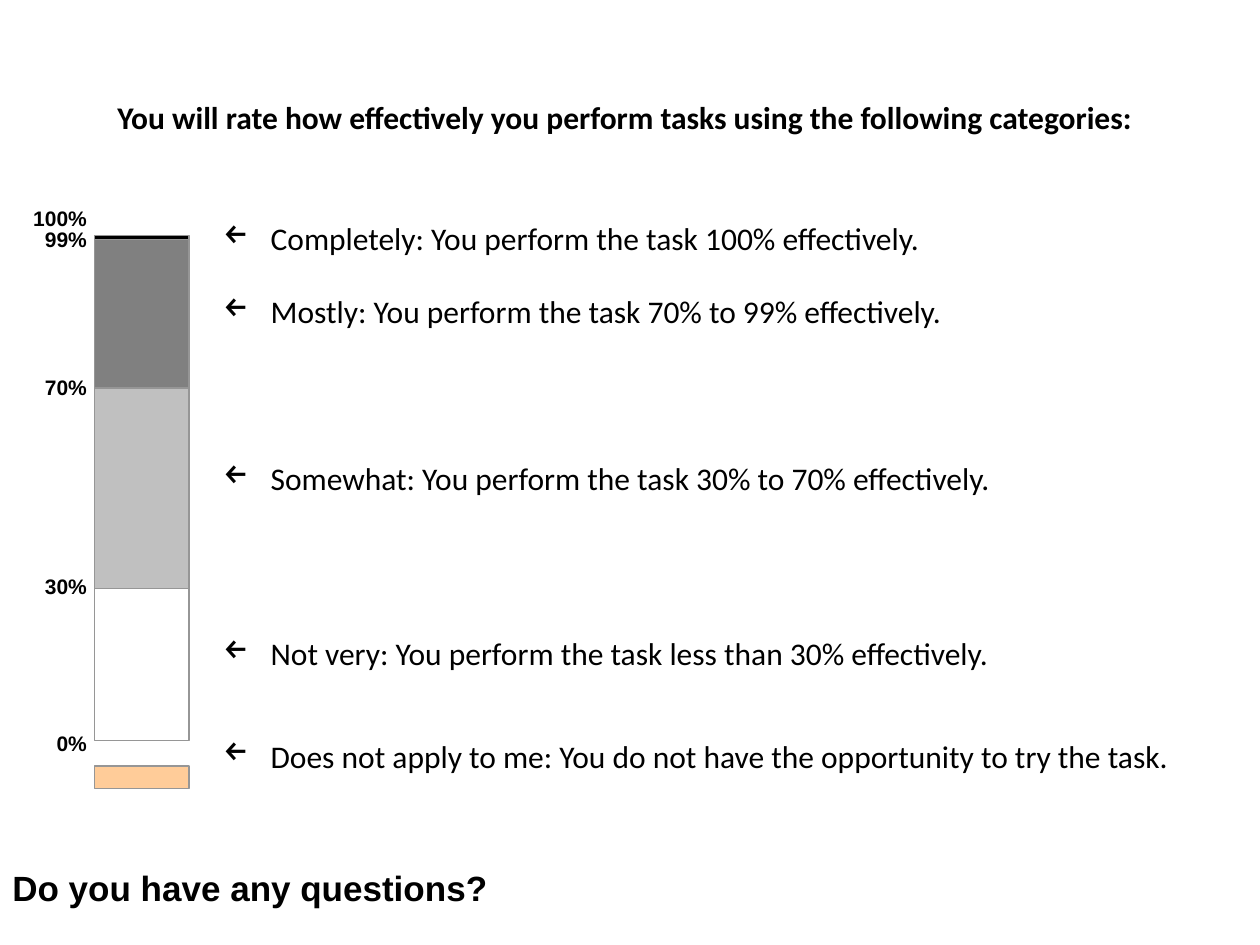
import pptx
import pptx.util
import pptx.dml.color
import pptx.enum.shapes
import pptx.enum.text
import lxml.etree

Inches, Pt = pptx.util.Inches, pptx.util.Pt
ALIGN, ANCHOR = pptx.enum.text.PP_ALIGN, pptx.enum.text.MSO_ANCHOR

COLOURS = {
    "ink": "000000", "outline": "969696", "complete": "000000", "most": "808080",
    "some": "C0C0C0", "little": "FFFFFF", "not_applicable": "FFCC99",
}
HEADING = "You will rate how effectively you perform tasks using the following categories:"
QUESTION = "Do you have any questions?"
CATEGORIES = [
    ("Completely: You perform the task 100% effectively.", 0),
    ("Mostly: You perform the task 70% to 99% effectively.", 20.3),
    ("Somewhat: You perform the task 30% to 70% effectively.", 73.4),
    ("Not very: You perform the task less than 30% effectively.", 78.6),
    ("Does not apply to me: You do not have the opportunity to try the task.", 37),
]
SEGMENTS = [
    ("complete", 1.87, 0.05), ("most", 1.9, 1.18), ("some", 3.08, 1.62),
    ("little", 4.67, 1.21), ("not_applicable", 6.08, 0.18),
]
TICKS = [("100%", 1.58), ("99%", 1.75), ("70%", 2.92), ("30%", 4.5), ("0%", 5.75)]
BAR_LEFT = BAR_WIDTH = 0.75
TICK_LEFT, TICK_WIDTH, TICK_HEIGHT = 0.25, 0.75, 0.3
INDENT = Inches(0.38)


def colour(name):
    return pptx.dml.color.RGBColor.from_string(COLOURS[name])


def add_text(slide, box, lines, size, font, bold=False, align=ALIGN.LEFT):
    frame = slide.shapes.add_textbox(*map(Inches, box)).text_frame
    frame.word_wrap = True
    for index, line in enumerate(lines):
        paragraph = frame.paragraphs[0] if index == 0 else frame.add_paragraph()
        paragraph.text = line
        paragraph.alignment = align
        paragraph.font.size = Pt(size)
        paragraph.font.name = font
        paragraph.font.bold = bold
        paragraph.font.color.rgb = colour("ink")
    return frame


def add_arrow_bullet(paragraph):
    properties = paragraph._p.get_or_add_pPr()
    properties.set("marL", str(INDENT))
    properties.set("indent", str(-INDENT))
    bullet = lxml.etree.Element(pptx.oxml.ns.qn("a:buChar"), char="←")
    properties.insert_element_before(bullet, "a:tabLst", "a:defRPr", "a:extLst")


def main():
    deck = pptx.Presentation()
    deck.slide_width, deck.slide_height = Inches(10), Inches(7.5)
    slide = deck.slides.add_slide(deck.slide_layouts[6])

    heading = add_text(slide, (0, 0.3, 9.92, 1.25), [HEADING], 18, "Calibri", True, ALIGN.CENTER)
    heading.vertical_anchor = ANCHOR.MIDDLE

    categories = add_text(slide, (1.67, 1.69, 8.33, 4.89),
                          [wording for wording, _ in CATEGORIES], 18, "Calibri")
    for paragraph, (_, gap) in zip(categories.paragraphs, CATEGORIES):
        paragraph.space_before = Pt(gap)
        add_arrow_bullet(paragraph)

    for name, top, height in SEGMENTS:
        segment = slide.shapes.add_shape(
            pptx.enum.shapes.MSO_SHAPE.RECTANGLE,
            *map(Inches, (BAR_LEFT, top, BAR_WIDTH, height)))
        segment.shadow.inherit = False
        segment.fill.solid()
        segment.fill.fore_color.rgb = colour(name)
        segment.line.color.rgb = colour("outline")
        segment.line.width = Pt(0.75)

    add_text(slide, (0, 6.83, 9, 0.44), [QUESTION], 20, "Arial", True)

    for percent, top in TICKS:
        tick = add_text(slide, (TICK_LEFT, top, TICK_WIDTH, TICK_HEIGHT),
                        [percent], 12, "Arial", True, ALIGN.RIGHT)
        tick.margin_left, tick.margin_right = 0, Inches(0.31)
        tick.word_wrap = False

    deck.save("out.pptx")


if __name__ == "__main__":
    main()
